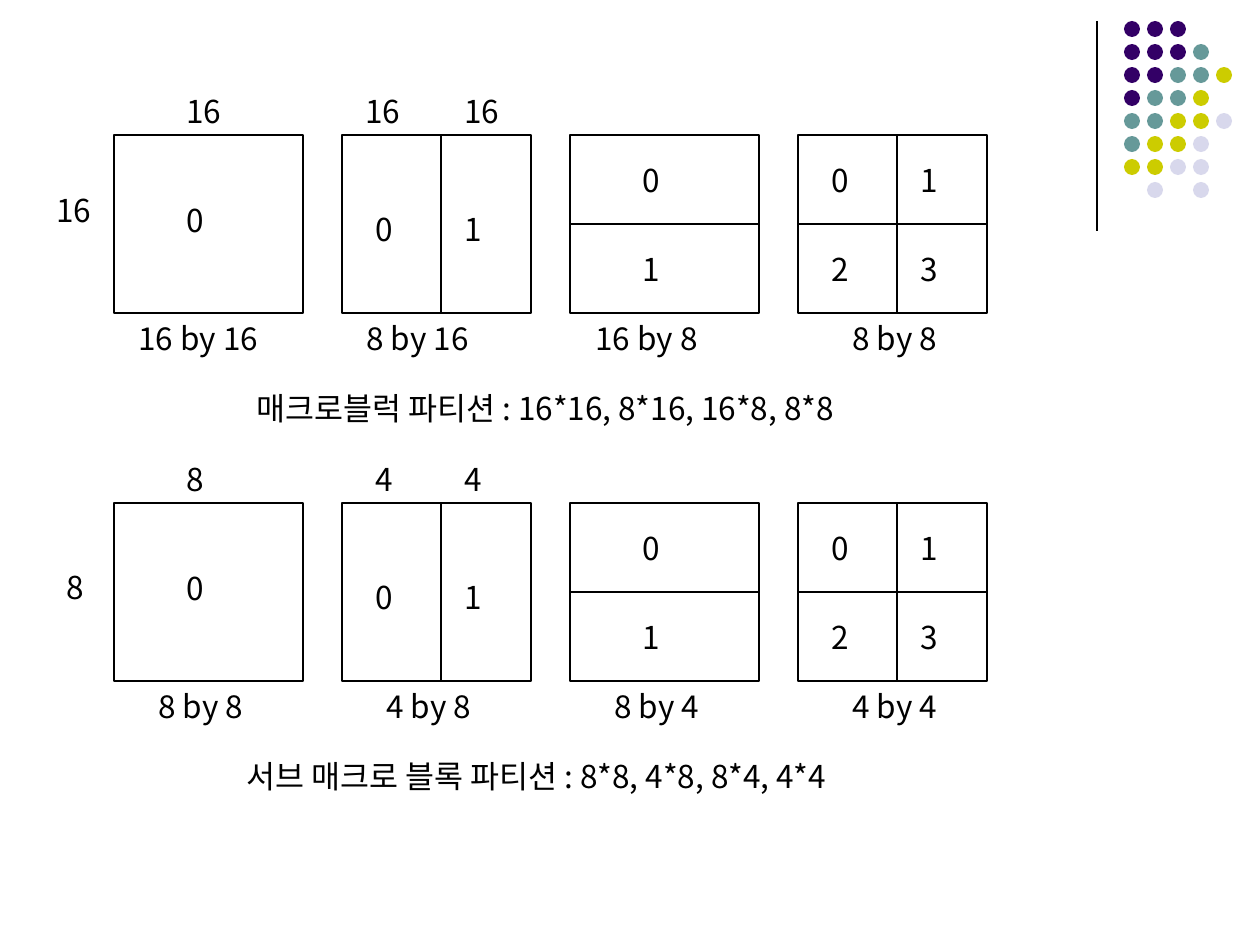
import dataclasses

import pptx
import pptx.dml.color
import pptx.enum.shapes
import pptx.enum.text
import pptx.oxml.ns
import pptx.util
from lxml import etree

PX = 914400 // 126  # EMU in one px


@dataclasses.dataclass(frozen=True)
class Theme:
    font: str = "Noto Sans CJK KR"
    size: int = 18
    ink: str = "000000"
    paper: str = "FFFFFF"
    rule: float = 0.75
    dots: tuple = (("P", "330066"), ("T", "669999"),
                   ("Y", "CCCC00"), ("L", "D8D8EC"))


THEME = Theme()

# Panel grid
LEFT, STEP = 114, 228
WIDTH, HEIGHT = 189, 178
SPLIT = 99
TEXT_H = 50

# Digit places inside a panel, by (split down, split across)
PLACES = {
    (False, False): [(60, 60)],
    (True, False): [(21, 69), (110, 69)],
    (False, True): [(60, 20), (60, 109)],
    (True, True): [(21, 20), (110, 20), (21, 109), (110, 109)],
}

# Text widths by content length
WIDE = {1: 43, 2: 60, 6: 112, 7: 131, 8: 149}

# Rows: top, side label (text, x, dy), head labels (text, x),
# panel names (text, dx), caption (text, x, width)
ROWS = [
    (135, ("16", 44, 50), [("16", 174), ("16", 353), ("16", 452)],
     [("16 by 16", 12), ("8 by 16", 12), ("16 by 8", 13), ("8 by 8", 42)],
     ("매크로블럭 파티션 : 16*16, 8*16, 16*8, 8*8", 244, 621)),
    (503, ("8", 54, 59), [("8", 174), ("4", 363), ("4", 452)],
     [("8 by 8", 32), ("4 by 8", 32), ("8 by 4", 32), ("4 by 4", 42)],
     ("서브 매크로 블록 파티션 : 8*8, 4*8, 8*4, 4*4", 234, 626)),
]

DOTS = ["PPP", "PPPT", "PPTTY", "PTTY", "TTYYL", "TYYL", "YYLL", " L L"]


def px(*nums):
    return [pptx.util.Emu(n * PX) for n in nums]


def color(code):
    return pptx.dml.color.RGBColor.from_string(code)


def add_text(slide, text, x, y, width=None):
    box = slide.shapes.add_textbox(*px(x, y, width or WIDE[len(text)], TEXT_H))
    frame = box.text_frame
    frame.word_wrap = False
    frame.auto_size = pptx.enum.text.MSO_AUTO_SIZE.SHAPE_TO_FIT_TEXT
    run = frame.paragraphs[0].add_run()
    run.text = text
    run.font.size = pptx.util.Pt(THEME.size)
    run.font.name = THEME.font
    run.font.color.rgb = color(THEME.ink)
    east = etree.SubElement(run.font._element, pptx.oxml.ns.qn("a:ea"))
    east.set("typeface", THEME.font)


def add_line(slide, x1, y1, x2, y2):
    kind = pptx.enum.shapes.MSO_CONNECTOR.STRAIGHT
    line = slide.shapes.add_connector(kind, *px(x1, y1, x2, y2))
    line.line.color.rgb = color(THEME.ink)
    line.line.width = pptx.util.Pt(THEME.rule)
    etree.SubElement(line._element.spPr, pptx.oxml.ns.qn("a:effectLst"))
    return line


def add_shape(shapes, kind, fill, *place):
    shape = shapes.add_shape(kind, *px(*place))
    shape.shadow.inherit = False
    shape.fill.solid()
    shape.fill.fore_color.rgb = color(fill)
    return shape


def add_panel(slide, x, y, down, across):
    rect = add_shape(slide.shapes, pptx.enum.shapes.MSO_SHAPE.RECTANGLE,
                     THEME.paper, x, y, WIDTH, HEIGHT)
    rect.line.color.rgb = color(THEME.ink)
    rect.line.width = pptx.util.Pt(THEME.rule)
    if down:
        add_line(slide, x + SPLIT, y, x + SPLIT, y + HEIGHT)
    if across:
        mid = y + HEIGHT // 2
        line = add_line(slide, x, mid, x + WIDTH, mid)
        line.begin_connect(rect, 1)
        line.end_connect(rect, 3)
    for num, (dx, dy) in enumerate(PLACES[down, across]):
        add_text(slide, str(num), x + dx, y + dy)


def add_row(slide, top, side, heads, names, caption):
    # Panels and their names
    for col, ((name, dx), split) in enumerate(zip(names, PLACES)):
        x = LEFT + col * STEP
        add_panel(slide, x, top, *split)
        add_text(slide, name, x + dx, top + HEIGHT)
    # Size labels
    for text, x in heads:
        add_text(slide, text, x, top - 49)
    text, x, dy = side
    add_text(slide, text, x, top + dy)
    # Caption
    text, x, width = caption
    add_text(slide, text, x, top + 248, width)


def add_decor(slide):
    add_line(slide, 1097, 21, 1097, 231)
    group = slide.shapes.add_group_shape()
    fills = dict(THEME.dots)
    for row, marks in enumerate(DOTS):
        for col, mark in enumerate(marks):
            if mark in fills:
                dot = add_shape(group.shapes, pptx.enum.shapes.MSO_SHAPE.OVAL,
                                fills[mark], 1124 + col * 23, 21 + row * 23,
                                16, 16)
                dot.line.fill.background()


def main():
    deck = pptx.Presentation()
    deck.slide_width, deck.slide_height = px(1260, 945)
    slide = deck.slides.add_slide(deck.slide_layouts[6])
    add_decor(slide)
    for row in ROWS:
        add_row(slide, *row)
    deck.save("out.pptx")


if __name__ == "__main__":
    main()
